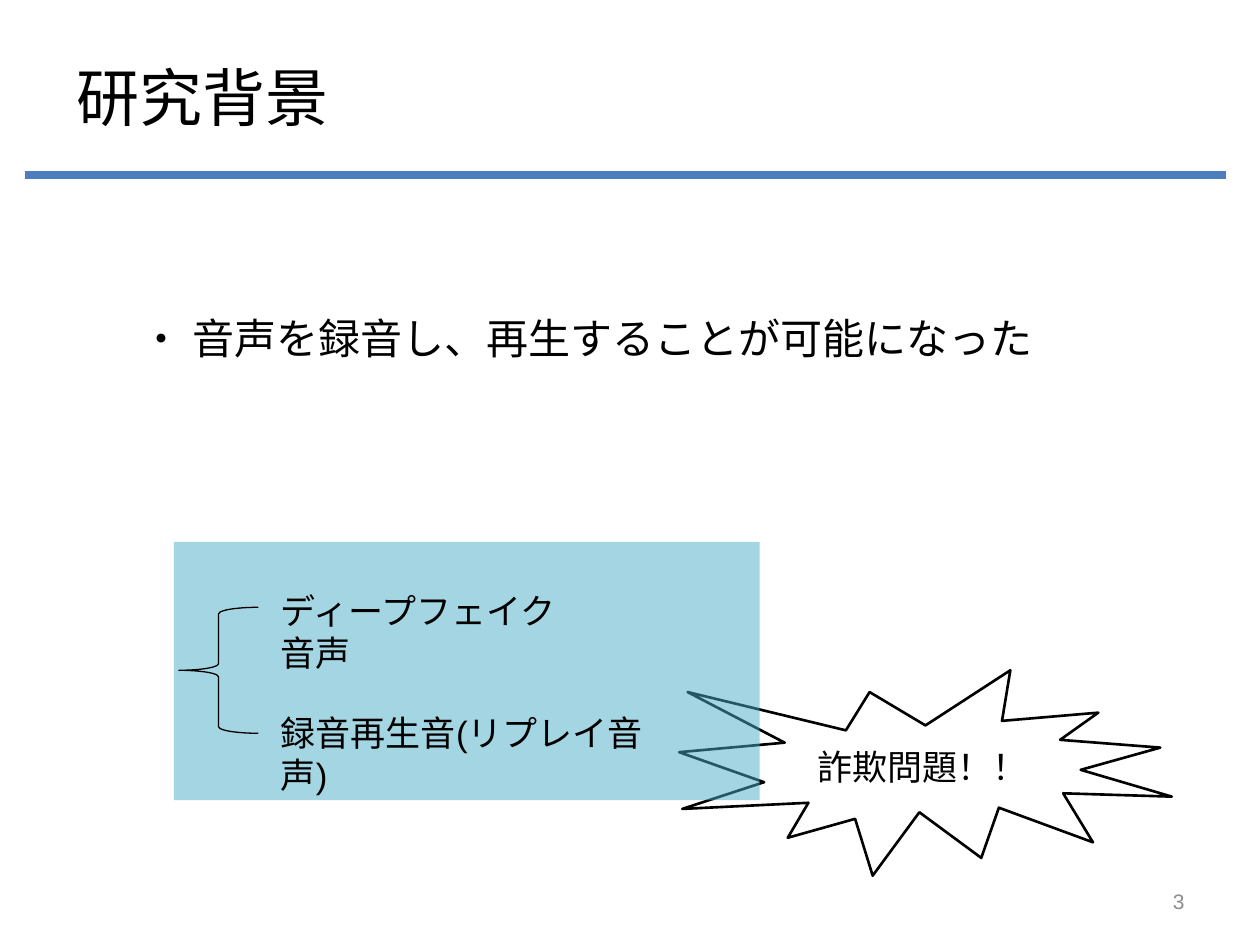
"""Build the research background slide."""
from dataclasses import dataclass

from lxml.etree import SubElement
from pptx import Presentation
from pptx.dml.color import RGBColor
from pptx.enum.shapes import MSO_CONNECTOR as Link, MSO_SHAPE as Form
from pptx.enum.text import MSO_ANCHOR as Anchor, PP_ALIGN as Align
from pptx.oxml.ns import qn
from pptx.util import Inches, Pt

BLACK = RGBColor(0x00, 0x00, 0x00)
GREY = RGBColor(0x8C, 0x8C, 0x8C)
BLUE = RGBColor(0x4B, 0x7E, 0xBC)
TEAL = RGBColor(0x4B, 0xAC, 0xC6)
FONT = "Arial"
UNIT = Inches(0.1)
COLS, ROWS = 100, 75


@dataclass(frozen=True)
class Area:
    """A place on the grid, in columns and rows."""
    col: float
    row: float
    wide: float
    high: float

    def spans(self) -> list[int]:
        """Give left, top, width and height as lengths."""
        return [round(n * UNIT) for n in (self.col, self.row, self.wide, self.high)]


@dataclass(frozen=True)
class Label:
    """A text with its place and look."""
    text: str
    area: Area
    size: int
    color: RGBColor = BLACK
    align: Align = Align.LEFT
    anchor: Anchor = Anchor.TOP


LABELS = [
    Label("研究背景", Area(5.1, 3, 89.9, 9.3), 36, anchor=Anchor.MIDDLE),
    Label("3", Area(88.6, 69.5, 6.4, 4), 12, GREY, Align.RIGHT, Anchor.MIDDLE),
    Label("・ 音声を録音し、再生することが可能になった", Area(10.2, 24.3, 79.5, 5), 24),
]
CAUSES = [
    Label("録音再生音(リプレイ音声)", Area(21.3, 56, 32.8, 4.4), 20),
    Label("ディープフェイク音声", Area(21.3, 46.3, 26.2, 4.4), 20),
]
ALERT = Label("詐欺問題！！", Area(53.9, 53.2, 39.1, 16.3), 20,
              align=Align.CENTER, anchor=Anchor.MIDDLE)


def write(shape, label: Label) -> None:
    """Put the label's text into a shape."""
    frame = shape.text_frame
    frame.word_wrap = True
    frame.vertical_anchor = label.anchor
    para = frame.paragraphs[0]
    para.text = label.text
    para.alignment = label.align
    font = para.font
    font.name, font.size = FONT, Pt(label.size)
    font.color.rgb = label.color


def add_text(shapes, label: Label) -> None:
    """Add a text box."""
    write(shapes.add_textbox(*label.area.spans()), label)


def add_form(shapes, form: Form, area: Area, weight: float = 0):
    """Add an unfilled shape, outlined in black if it has a weight."""
    shape = shapes.add_shape(form, *area.spans())
    shape.shadow.inherit = False
    shape.fill.background()
    if weight:
        shape.line.color.rgb = BLACK
        shape.line.width = Pt(weight)
    else:
        shape.line.fill.background()
    return shape


def add_rule(shapes, left: float, right: float, row: float) -> None:
    """Add the thick rule below the title."""
    ends = [round(n * UNIT) for n in (left, row, right, row)]
    rule = shapes.add_connector(Link.STRAIGHT, *ends)
    rule.line.color.rgb = BLUE
    rule.line.width = Pt(5)
    SubElement(rule._element.spPr, qn("a:effectLst"))


def add_panel(shapes, area: Area) -> None:
    """Add the half clear panel."""
    panel = add_form(shapes, Form.RECTANGLE, area)
    panel.fill.solid()
    panel.fill.fore_color.rgb = TEAL
    tint = panel._element.spPr.find(qn("a:solidFill"))[0]
    SubElement(tint, qn("a:alpha"), val="50000")


def main() -> None:
    """Draw and save the slide."""
    deck = Presentation()
    deck.slide_width, deck.slide_height = COLS * UNIT, ROWS * UNIT
    shapes = deck.slides.add_slide(deck.slide_layouts[6]).shapes
    add_rule(shapes, 2, 97.3, 13.9)
    for label in LABELS:
        add_text(shapes, label)
    write(add_form(shapes, Form.EXPLOSION1, ALERT.area, 1.5), ALERT)
    group = shapes.add_group_shape().shapes
    add_panel(group, Area(13.8, 43, 46.5, 20.5))
    add_form(group, Form.LEFT_BRACE, Area(14.2, 48.2, 6.3, 10), 0.75)
    for label in CAUSES:
        add_text(group, label)
    deck.save("out.pptx")


if __name__ == "__main__":
    main()
